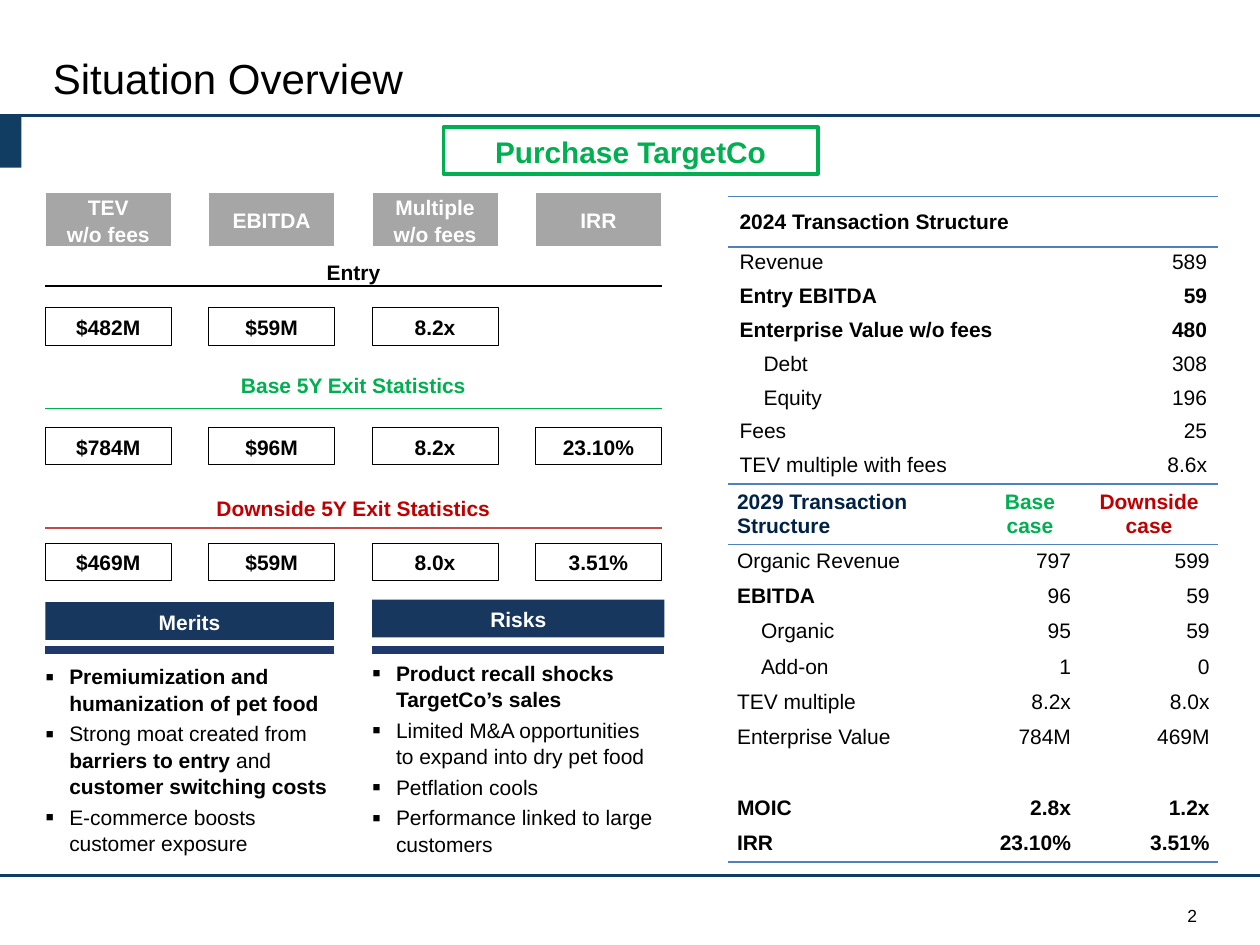
from typing import NamedTuple

from lxml.etree import SubElement
from pptx import Presentation
from pptx.dml.color import RGBColor
from pptx.enum.shapes import MSO_CONNECTOR as Connector, MSO_SHAPE as Shape
from pptx.enum.text import MSO_ANCHOR as Anchor, PP_ALIGN as Align
from pptx.oxml.ns import qn
from pptx.util import Inches, Pt

COLORS = {
    "black": "000000", "white": "FFFFFF", "navy": "113D63", "banner": "17375E",
    "underline": "20396D", "grey": "A6A6A6", "green": "00B050", "red": "C00000",
    "red_rule": "BF4C48", "table_rule": "4F81BD", "table_head": "002246",
}
WIDTH, HEIGHT = 10, 7.5
LEFT, RIGHT, COLUMN = 0.36, 5.25, 1.0
PITCH = (RIGHT - LEFT - COLUMN) / 3
TABLE_LEFT = 5.78
NO_GRID_STYLE = "{2D5ABB26-0587-4C30-8999-92F81FD0307C}"


class Box(NamedTuple):
    left: float
    top: float
    width: float
    height: float


class Section(NamedTuple):
    label: str
    color: str
    rule_color: str
    label_top: float
    rule_top: float
    values_top: float
    values: list


class Case(NamedTuple):
    heading: str
    column: int
    banner_top: float
    list_top: float
    width: float
    points: list


class Row(NamedTuple):
    cells: list
    bold: str = ""
    indented: bool = False


class Deal(NamedTuple):
    top: float
    widths: list
    head_height: float
    height: float
    margins: tuple
    head_colors: list
    rows: list


SECTIONS = [
    Section("Entry", "black", "black", 2.04, 2.27, 2.44, ["$482M", "$59M", "8.2x"]),
    Section("Base 5Y Exit Statistics", "green", "green", 2.94, 3.24, 3.39,
            ["$784M", "$96M", "8.2x", "23.10%"]),
    Section("Downside 5Y Exit Statistics", "red", "red_rule", 3.91, 4.19, 4.31,
            ["$469M", "$59M", "8.0x", "3.51%"]),
]
CASES = [
    Case("Merits", 0, 4.78, 5.21, 2.29, [
        [("Premiumization and humanization of pet food", True)],
        [("Strong moat created from ", False), ("barriers to entry ", True),
         ("and ", False), ("customer switching costs", True)],
        [("E-commerce boosts customer exposure", False)]]),
    Case("Risks", 2, 4.76, 5.18, 2.32, [
        [("Product recall shocks TargetCo’s sales", True)],
        [("Limited M&A opportunities to expand into dry pet food", False)],
        [("Petflation cools", False)],
        [("Performance linked to large customers", False)]]),
]
DEALS = [
    Deal(1.56, [2.53, 1.36], 0.4, 2.28, (0.09, 0.03), ["black", "black"], [
        Row(["2024 Transaction Structure", ""], "all"),
        Row(["Revenue", "589"]),
        Row(["Entry EBITDA", "59"], "all"),
        Row(["Enterprise Value w/o fees", "480"], "all"),
        Row(["Debt", "308"], indented=True),
        Row(["Equity", "196"], indented=True),
        Row(["Fees", "25"]),
        Row(["TEV multiple with fees", "8.6x"])]),
    Deal(3.84, [2, 0.79, 1.1], 0.47, 2.95, (0.07, 0.04), ["table_head", "green", "red"], [
        Row(["2029 Transaction Structure", "Base case", "Downside case"], "all"),
        Row(["Organic Revenue", "797", "599"]),
        Row(["EBITDA", "96", "59"], "label"),
        Row(["Organic", "95", "59"], indented=True),
        Row(["Add-on", "1", "0"], indented=True),
        Row(["TEV multiple", "8.2x", "8.0x"]),
        Row(["Enterprise Value", "784M", "469M"]),
        Row(["", "", ""]),
        Row(["MOIC", "2.8x", "1.2x"], "all"),
        Row(["IRR", "23.10%", "3.51%"], "all")]),
]


def rgb(color: str) -> RGBColor:
    return RGBColor.from_string(COLORS[color])


def column_left(index: int) -> float:
    return LEFT + index * PITCH


def style(paragraph, color: str = "black", size: float = 12, bold: bool = False,
          align=Align.LEFT) -> None:
    paragraph.alignment = align
    font = paragraph.font
    font.name, font.size, font.bold = "Arial", Pt(size), bold
    font.color.rgb = rgb(color)


def add_rule(slide, left: float, right: float, top: float, color: str, weight: float) -> None:
    rule = slide.shapes.add_connector(Connector.STRAIGHT, *map(Inches, (left, top, right, top)))
    rule.line.color.rgb, rule.line.width = rgb(color), Pt(weight)
    SubElement(rule._element.spPr, qn("a:effectLst"))


def add_panel(slide, box: Box, fill: str, text: str = "", color: str = "white",
              line: str = "", weight: float = 0.5, size: float = 12) -> None:
    panel = slide.shapes.add_shape(Shape.RECTANGLE, *map(Inches, box))
    panel.shadow.inherit = False
    panel.fill.solid()
    panel.fill.fore_color.rgb = rgb(fill)
    if line:
        panel.line.color.rgb, panel.line.width = rgb(line), Pt(weight)
    else:
        panel.line.fill.background()
    frame = panel.text_frame
    frame.vertical_anchor, frame.word_wrap = Anchor.MIDDLE, True
    frame.text = text
    for paragraph in frame.paragraphs:
        style(paragraph, color, size, True, Align.CENTER)
        paragraph.line_spacing = 1.05


def add_text_frame(slide, box: Box, margin: float = 0):
    frame = slide.shapes.add_textbox(*map(Inches, box)).text_frame
    frame.word_wrap = True
    frame.margin_left = frame.margin_right = 0
    frame.margin_top = frame.margin_bottom = Inches(margin)
    return frame


def add_section(slide, section: Section) -> None:
    label = add_text_frame(slide, Box(LEFT, section.label_top, RIGHT - LEFT, 0.22), 0.02)
    label.text = section.label
    style(label.paragraphs[0], section.color, bold=True, align=Align.CENTER)
    add_rule(slide, LEFT, RIGHT, section.rule_top, section.rule_color, 0.75)
    for index, value in enumerate(section.values):
        add_panel(slide, Box(column_left(index), section.values_top, COLUMN, 0.3),
                  "white", value, "black", "black")


def add_case(slide, case: Case) -> None:
    left = column_left(case.column)
    add_panel(slide, Box(left, case.banner_top, case.width, 0.3), "banner", case.heading)
    add_rule(slide, left, left + case.width, 5.16, "underline", 4.5)
    frame = add_text_frame(slide, Box(left, case.list_top, 2.3, 1.62), 0.05)
    for index, point in enumerate(case.points):
        paragraph = frame.paragraphs[0] if index == 0 else frame.add_paragraph()
        style(paragraph)
        paragraph.space_before, paragraph.line_spacing = Pt(2.4), 1.05
        for text, bold in point:
            run = paragraph.add_run()
            run.text, run.font.bold = text, bold
        props = paragraph._p.get_or_add_pPr()
        props.set("marL", str(Inches(0.19)))
        props.set("indent", str(Inches(-0.19)))
        defaults = props.find(qn("a:defRPr"))
        for tag, key, value in (("buSzPct", "val", "120000"), ("buFont", "typeface", "Arial"),
                                ("buChar", "char", "▪")):
            bullet = props.makeelement(qn(f"a:{tag}"), {key: value})
            defaults.addprevious(bullet)


def add_border(cell, side: str) -> None:
    border = SubElement(cell._tc.get_or_add_tcPr(), qn(f"a:{side}"), w=str(Pt(1)))
    fill = SubElement(border, qn("a:solidFill"))
    SubElement(fill, qn("a:srgbClr"), val=COLORS["table_rule"])


def add_deal(slide, deal: Deal) -> None:
    count = len(deal.rows)
    box = Box(TABLE_LEFT, deal.top, sum(deal.widths), deal.height)
    table = slide.shapes.add_table(count, len(deal.widths), *map(Inches, box)).table
    table.first_row = table.horz_banding = False
    table._tbl.tblPr.find(qn("a:tableStyleId")).text = NO_GRID_STYLE
    for column, width in zip(table.columns, deal.widths):
        column.width = Inches(width)
    side, edge = deal.margins
    for r, row in enumerate(deal.rows):
        head = r == 0
        table.rows[r].height = Inches(
            deal.head_height if head else (deal.height - deal.head_height) / (count - 1))
        for c, text in enumerate(row.cells):
            cell = table.cell(r, c)
            cell.margin_left = Inches(side + (0.19 if row.indented and c == 0 else 0))
            cell.margin_right = Inches(side)
            cell.margin_top = cell.margin_bottom = Inches(edge)
            cell.vertical_anchor = Anchor.MIDDLE if head else Anchor.TOP
            if head:
                add_border(cell, "lnT")
            if head or r == count - 1:
                add_border(cell, "lnB")
            cell.fill.solid()
            cell.fill.fore_color.rgb = rgb("white")
            cell.text = text
            align = Align.LEFT if c == 0 else Align.CENTER if head else Align.RIGHT
            bold = row.bold == "all" or (row.bold == "label" and c == 0)
            style(cell.text_frame.paragraphs[0], deal.head_colors[c] if head else "black",
                  bold=bold, align=align)


def main() -> None:
    deck = Presentation()
    deck.slide_width, deck.slide_height = Inches(WIDTH), Inches(HEIGHT)
    slide = deck.slides.add_slide(deck.slide_layouts[5])

    title = slide.shapes.title
    title.left, title.top, title.width, title.height = map(Inches, (0.42, 0.42, 9.08, 0.4))
    frame = title.text_frame
    frame.text = "Situation Overview"
    frame.margin_left = frame.margin_right = frame.margin_top = frame.margin_bottom = 0
    frame.vertical_anchor = Anchor.MIDDLE
    style(frame.paragraphs[0], size=24)

    for top in (0.92, 6.95):
        add_rule(slide, 0, WIDTH, top, "navy", 1.75)
    add_panel(slide, Box(0, 0.92, 0.17, 0.41), "navy")
    page = add_text_frame(slide, Box(7.17, 7.18, 2.33, 0.17))
    page.text = "2"
    style(page.paragraphs[0], size=10, align=Align.RIGHT)

    add_panel(slide, Box(3.52, 1.01, 2.97, 0.37), "white", "Purchase TargetCo",
              "green", "green", 2.25, 17)
    for index, metric in enumerate(["TEV\nw/o fees", "EBITDA", "Multiple w/o fees", "IRR"]):
        add_panel(slide, Box(column_left(index), 1.53, COLUMN, 0.43), "grey", metric, line="white")
    for section in SECTIONS:
        add_section(slide, section)
    for case in CASES:
        add_case(slide, case)
    for deal in DEALS:
        add_deal(slide, deal)
    deck.save("out.pptx")


if __name__ == "__main__":
    main()
